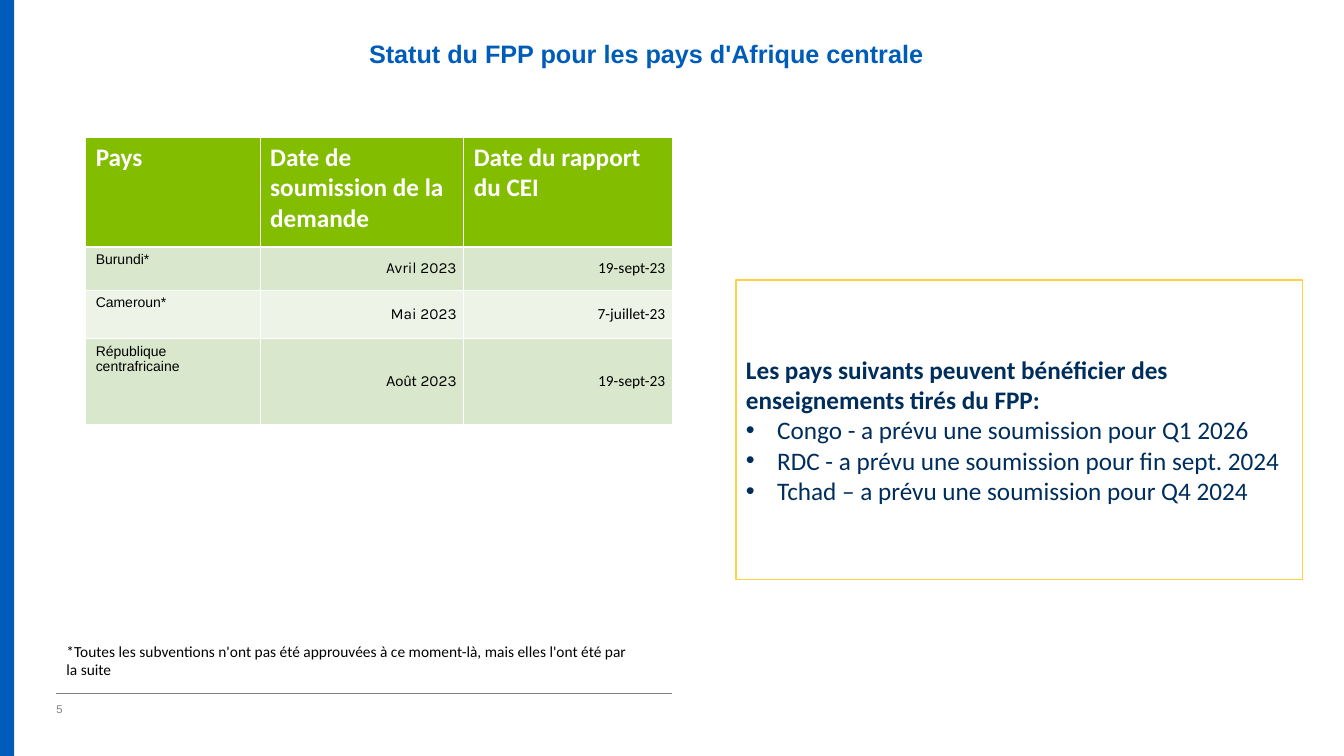
import pptx
import pptx.util
import pptx.dml.color
import pptx.enum.shapes
import pptx.enum.text
import pptx.oxml.ns
from lxml import etree

PX = 9144  # EMU per px, 100 px to the inch
COLORS = {
    "blue": "005CB9", "navy": "002E5C", "green": "83BD00", "band": "D9E8CC",
    "pale": "EDF4E7", "yellow": "FED141", "gray": "808080",
    "black": "000000", "white": "FFFFFF",
}
ALIGN = pptx.enum.text.PP_ALIGN
ANCHOR = pptx.enum.text.MSO_ANCHOR

HEADERS = ["Pays", "Date de soumission de la demande", "Date du rapport du CEI"]
# Country, (month, its font), year, report date
COUNTRIES = [
    ("Burundi*", ("Avril", "Karla"), " 2023", "19-sept-23"),
    ("Cameroun*", ("Mai", "Karla"), " 2023", "7-juillet-23"),
    ("République centrafricaine", ("Août", "Calibri"), " 2023", "19-sept-23"),
]
COLUMN_WIDTHS = [173, 202, 207]
ROW_HEIGHTS = [109, 43, 48, 85]
LESSONS_HEADING = "Les pays suivants peuvent bénéficier des enseignements tirés du FPP:"
PLANNED = [
    "Congo - a prévu une soumission pour Q1 2026",
    "RDC - a prévu une soumission pour fin sept. 2024",
    "Tchad – a prévu une soumission pour Q4 2024",
]


def px(*lengths):
    return [pptx.util.Emu(length * PX) for length in lengths]


def rgb(color):
    return pptx.dml.color.RGBColor.from_string(COLORS[color])


def add_xml(parent, tag, **attributes):
    return etree.SubElement(parent, pptx.oxml.ns.qn(tag), attributes)


def write(paragraph, text, size=11, font="Calibri", color="black", bold=False, align=ALIGN.LEFT):
    paragraph.alignment = align
    run = paragraph.add_run()
    run.text = text
    run.font.size = pptx.util.Pt(size)
    run.font.name = font
    run.font.bold = bold
    run.font.color.rgb = rgb(color)


def set_margins(box, horizontal, vertical):
    box.margin_left, box.margin_right = px(horizontal, horizontal)
    box.margin_top, box.margin_bottom = px(vertical, vertical)


def add_bullet(paragraph):
    properties = paragraph._p.get_or_add_pPr()
    properties.set("marL", str(31 * PX))
    properties.set("indent", str(-31 * PX))
    add_xml(properties, "a:buFont", typeface="Arial")
    add_xml(properties, "a:buChar", char="•")


def add_rectangle(slide, bounds, fill, line=None):
    rectangle = slide.shapes.add_shape(pptx.enum.shapes.MSO_SHAPE.RECTANGLE, *px(*bounds))
    rectangle.shadow.inherit = False
    rectangle.fill.solid()
    rectangle.fill.fore_color.rgb = rgb(fill)
    if line:
        rectangle.line.color.rgb = rgb(line)
        rectangle.line.width = pptx.util.Pt(1)
    else:
        rectangle.line.fill.background()
    return rectangle


def add_rule(slide, left, right, y):
    rule = slide.shapes.add_connector(
        pptx.enum.shapes.MSO_CONNECTOR.STRAIGHT, *px(left, y, right, y))
    rule.line.color.rgb = rgb("gray")
    rule.line.width = pptx.util.Pt(0.5)
    add_xml(rule._element.spPr, "a:effectLst")


def add_text_box(slide, bounds, text, **text_format):
    frame = slide.shapes.add_textbox(*px(*bounds)).text_frame
    frame.word_wrap = True
    write(frame.paragraphs[0], text, **text_format)
    return frame


def set_title(slide, text):
    title = slide.shapes.title
    title.left, title.top, title.width, title.height = px(105, 41, 1072, 46)
    frame = title.text_frame
    frame.word_wrap = True
    frame.vertical_anchor = ANCHOR.TOP
    set_margins(frame, 0, 0)
    write(frame.paragraphs[0], text, size=18, font="Arial", color="blue", bold=True,
          align=ALIGN.CENTER)
    frame.paragraphs[0].line_spacing = 0.9


def add_status_table(slide):
    # The default table style draws the white cell borders
    table = slide.shapes.add_table(
        len(ROW_HEIGHTS), len(COLUMN_WIDTHS),
        *px(85, 136, sum(COLUMN_WIDTHS), sum(ROW_HEIGHTS))).table
    for column, width in zip(table.columns, px(*COLUMN_WIDTHS)):
        column.width = width
    for row, height in zip(table.rows, px(*ROW_HEIGHTS)):
        row.height = height

    # Fills: header, then alternating bands
    for index, row in enumerate(table.rows):
        for cell in row.cells:
            cell.fill.solid()
            fill = "green" if index == 0 else ("pale", "band")[index % 2]
            cell.fill.fore_color.rgb = rgb(fill)

    for column, header in enumerate(HEADERS):
        write(table.cell(0, column).text_frame.paragraphs[0], header,
              size=18, color="white", bold=True)

    for row, (country, (month, month_font), year, report) in enumerate(COUNTRIES, 1):
        write(table.cell(row, 0).text_frame.paragraphs[0], country, size=10, font="Arial")
        for column in (1, 2):
            cell = table.cell(row, column)
            cell.vertical_anchor = ANCHOR.MIDDLE
            set_margins(cell, 7, 1)
        submission = table.cell(row, 1).text_frame.paragraphs[0]
        write(submission, month, font=month_font, align=ALIGN.RIGHT)
        write(submission, year, font="Karla", align=ALIGN.RIGHT)
        write(table.cell(row, 2).text_frame.paragraphs[0], report, align=ALIGN.RIGHT)


def add_lessons_box(slide):
    frame = add_rectangle(slide, (730, 278, 562, 297), "white", line="yellow").text_frame
    frame.word_wrap = True
    frame.vertical_anchor = ANCHOR.MIDDLE
    write(frame.paragraphs[0], LESSONS_HEADING, size=18, color="navy", bold=True)
    for plan in PLANNED:
        paragraph = frame.add_paragraph()
        add_bullet(paragraph)
        write(paragraph, plan, size=18, color="navy")


def main():
    deck = pptx.Presentation()
    deck.slide_width, deck.slide_height = px(1333, 750)
    slide = deck.slides.add_slide(deck.slide_layouts[5])

    # Frame of the page
    add_rectangle(slide, (0, 0, 14, 750), "blue")
    add_rule(slide, 56, 667, 688)
    set_title(slide, "Statut du FPP pour les pays d'Afrique centrale")
    page_number = add_text_box(slide, (56, 695, 29, 15), "5", size=8, font="Arial", color="gray")
    set_margins(page_number, 0, 0)
    page_number.vertical_anchor = ANCHOR.BOTTOM

    # Content
    add_status_table(slide)
    add_text_box(slide, (56, 632, 581, 47),
                 "*Toutes les subventions n'ont pas été approuvées à ce moment-là, "
                 "mais elles l'ont été par la suite")
    add_lessons_box(slide)

    deck.save("out.pptx")


if __name__ == "__main__":
    main()
